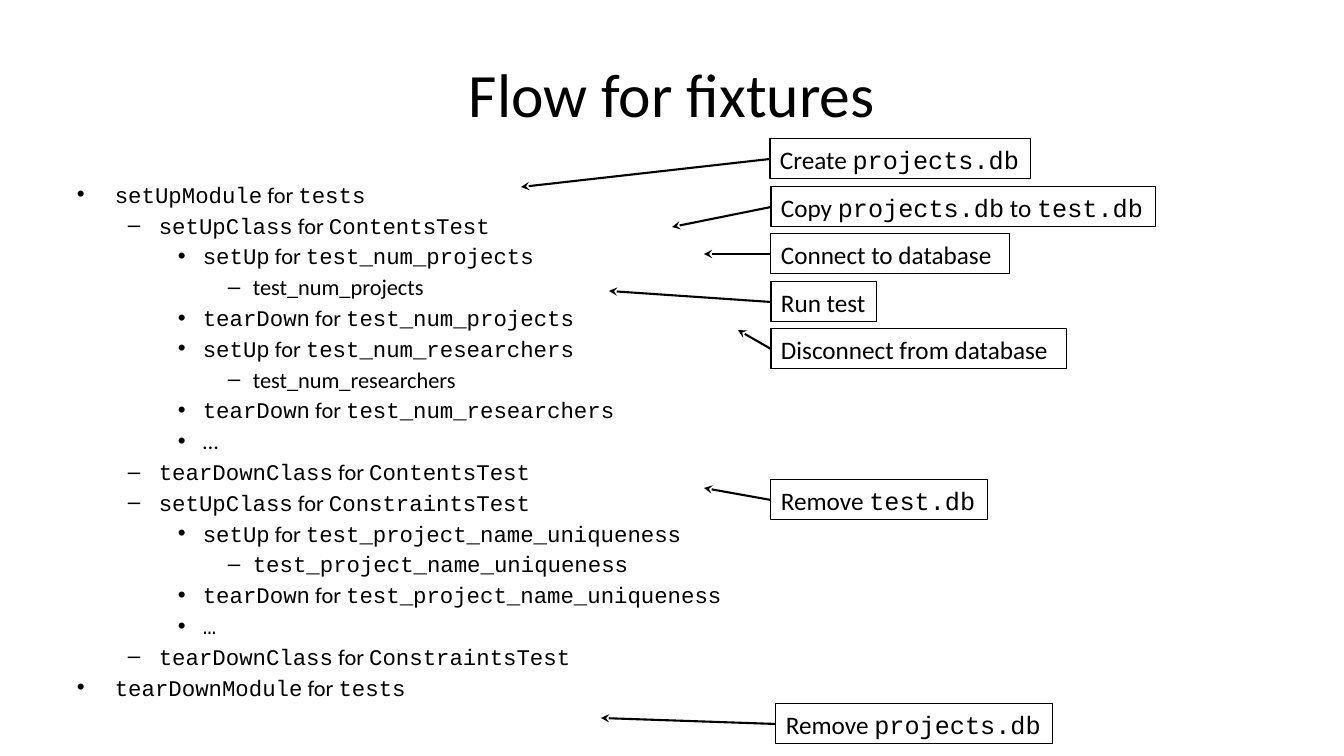
"""Build the slide "Flow for fixtures"."""
from lxml import etree
from pptx import Presentation
from pptx.dml.color import RGBColor
from pptx.enum.shapes import MSO_CONNECTOR
from pptx.enum.text import MSO_ANCHOR, MSO_AUTO_SIZE, PP_ALIGN
from pptx.oxml.ns import qn
from pptx.util import Pt

TITLE = "Flow for fixtures"
FLOW = [
    (0, "`setUpModule` for `tests`"),
    (1, "`setUpClass` for `ContentsTest`"),
    (2, "`setUp` for `test_num_projects`"),
    (3, "test_num_projects"),
    (2, "`tearDown` for `test_num_projects`"),
    (2, "`setUp` for `test_num_researchers`"),
    (3, "test_num_researchers"),
    (2, "`tearDown` for `test_num_researchers`"),
    (2, "…"),
    (1, "`tearDownClass` for `ContentsTest`"),
    (1, "`setUpClass` for `ConstraintsTest`"),
    (2, "`setUp` for `test_project_name_uniqueness`"),
    (3, "`test_project_name_uniqueness`"),
    (2, "`tearDown` for `test_project_name_uniqueness`"),
    (2, "`…`"),
    (1, "`tearDownClass` for `ConstraintsTest`"),
    (0, "`tearDownModule` for `tests`"),
]
# label, left, top, width, arrow tip
NOTES = [
    ("Create `projects.db`", 770, 139, 261, (521, 187)),
    ("Copy `projects.db` to `test.db`", 771, 187, 385, (672, 227)),
    ("Connect to database", 771, 234, 239, (704, 254)),
    ("Run test", 771, 282, 106, (609, 291)),
    ("Disconnect from database", 771, 329, 296, (738, 330)),
    ("Remove `test.db`", 771, 480, 217, (704, 488)),
    ("Remove `projects.db`", 776, 704, 277, (601, 718)),
]
LEVELS = [(38, 38, "•"), (82, 31, "–"), (126, 25, "•"), (176, 25, "–")]
NOTE_H = 40

BLACK = RGBColor(0, 0, 0)
WHITE = RGBColor(255, 255, 255)
SANS, MONO = "Calibri", "Courier New"
CENTER, LEFT = PP_ALIGN.CENTER, PP_ALIGN.LEFT
MIDDLE, TOP = MSO_ANCHOR.MIDDLE, MSO_ANCHOR.TOP
GROW = MSO_AUTO_SIZE.SHAPE_TO_FIT_TEXT
STRAIGHT = MSO_CONNECTOR.STRAIGHT


def px(n):
    return round(n * 914400 / 100.8)


def add_box(slide, left, top, width, height, anchor=TOP, wrap=True):
    box = slide.shapes.add_textbox(px(left), px(top), px(width), px(height))
    box.text_frame.word_wrap = wrap
    box.text_frame.vertical_anchor = anchor
    return box


def fill_para(para, text, size, align=LEFT):
    para.alignment = align
    para.font.size = Pt(size)
    para.font.color.rgb = BLACK
    for i, part in enumerate(text.split("`")):
        if part:
            run = para.add_run()
            run.text = part
            run.font.name = MONO if i % 2 else SANS


def add_bullet(para, level):
    left, hang, mark = LEVELS[level]
    para.level = level
    props = para._p.get_or_add_pPr()
    props.set("marL", str(px(left)))
    props.set("indent", str(-px(hang)))
    etree.SubElement(props, qn("a:buFont")).set("typeface", "Arial")
    etree.SubElement(props, qn("a:buChar")).set("char", mark)


def add_flow(slide):
    frame = add_box(slide, 67, 176, 1210, 499).text_frame
    for i, (level, text) in enumerate(FLOW):
        para = frame.add_paragraph() if i else frame.paragraphs[0]
        add_bullet(para, level)
        para.space_before = Pt(2.8 if i else 0)
        fill_para(para, text, 16)


def add_arrow(slide, start, tip):
    arrow = slide.shapes.add_connector(STRAIGHT, *map(px, start + tip))
    arrow.line.color.rgb = BLACK
    arrow.line.width = Pt(1.5)
    tail = etree.SubElement(arrow.line._get_or_add_ln(), qn("a:tailEnd"))
    tail.set("type", "stealth")
    etree.SubElement(arrow._element.spPr, qn("a:effectLst"))


def add_note(slide, text, left, top, width, tip):
    box = add_box(slide, left, top, width, NOTE_H, wrap=False)
    box.text_frame.auto_size = GROW
    box.fill.solid()
    box.fill.fore_color.rgb = WHITE
    box.line.color.rgb = BLACK
    box.line.width = Pt(0.75)
    fill_para(box.text_frame.paragraphs[0], text, 18)
    add_arrow(slide, (left, top + NOTE_H // 2), tip)


def main():
    deck = Presentation()
    deck.slide_width, deck.slide_height = px(1344), px(756)
    slide = deck.slides.add_slide(deck.slide_layouts[6])
    title = add_box(slide, 67, 30, 1210, 126, MIDDLE)
    fill_para(title.text_frame.paragraphs[0], TITLE, 44, CENTER)
    add_flow(slide)
    for note in NOTES:
        add_note(slide, *note)
    deck.save("out.pptx")


if __name__ == "__main__":
    main()
